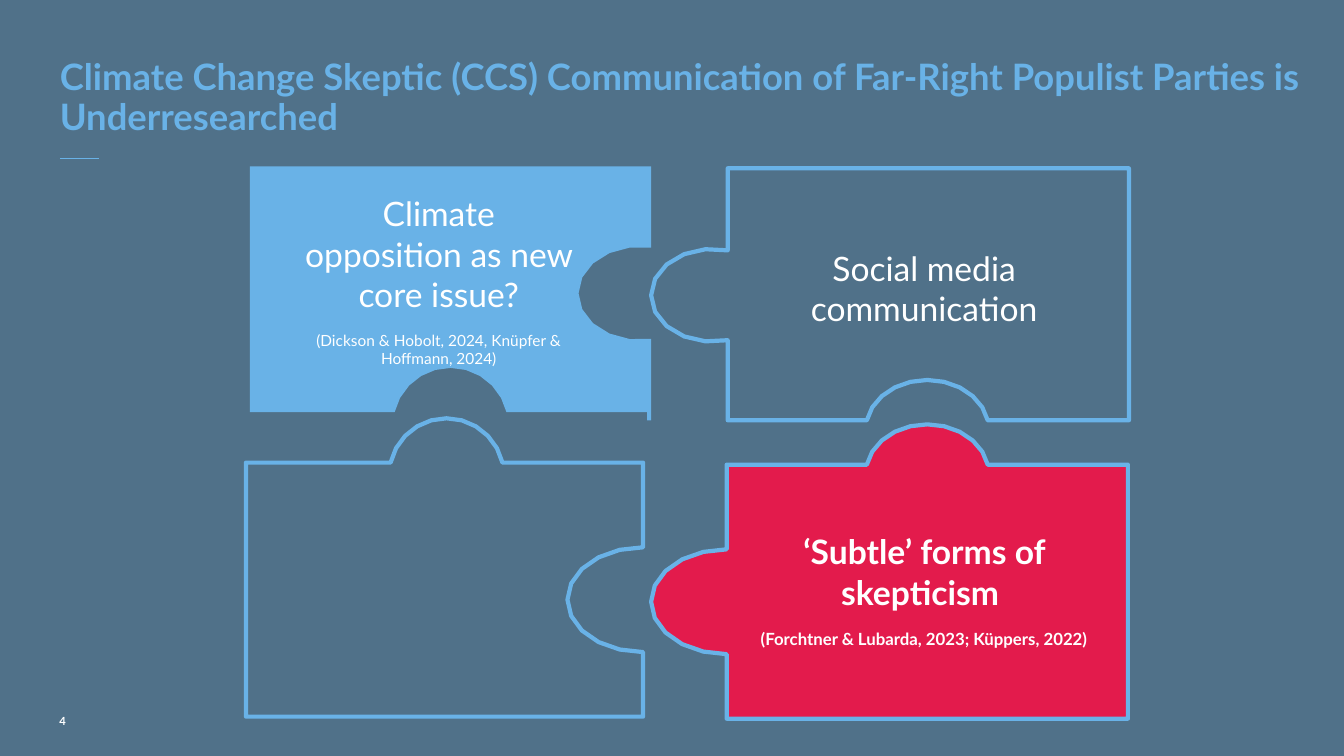
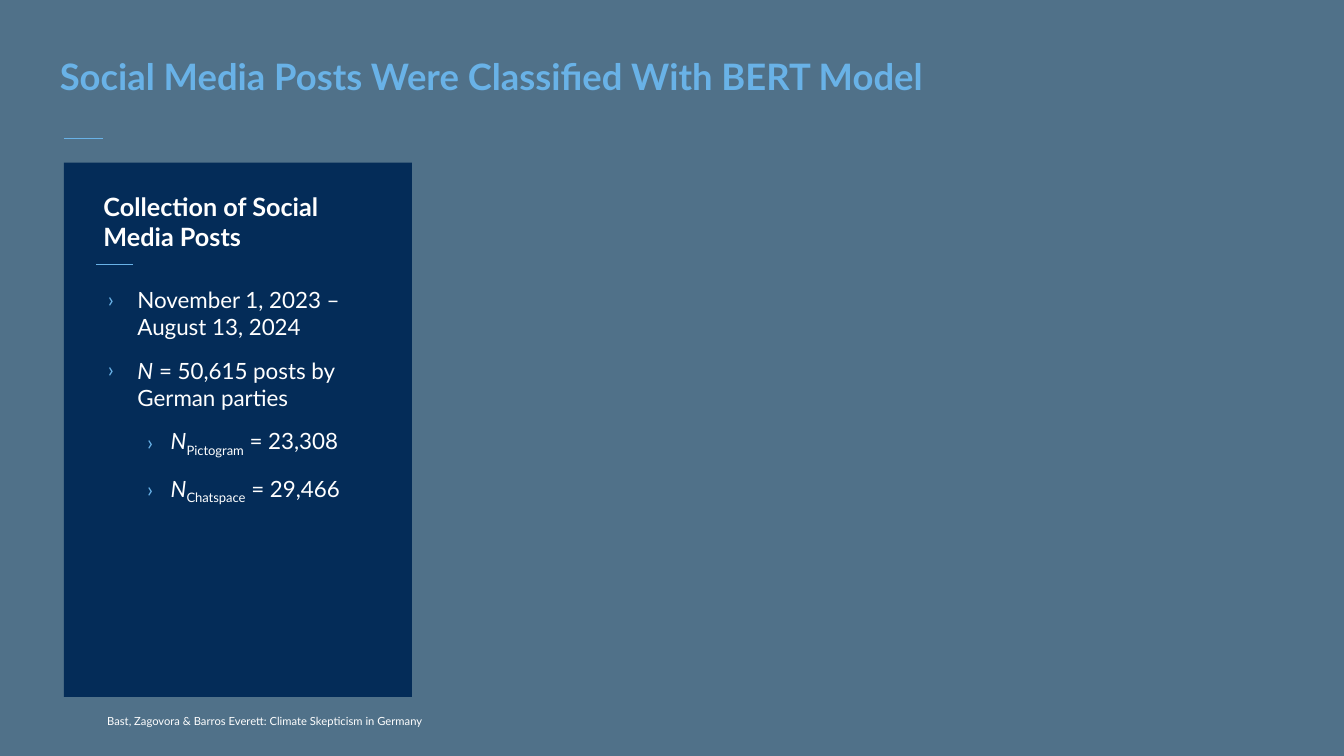
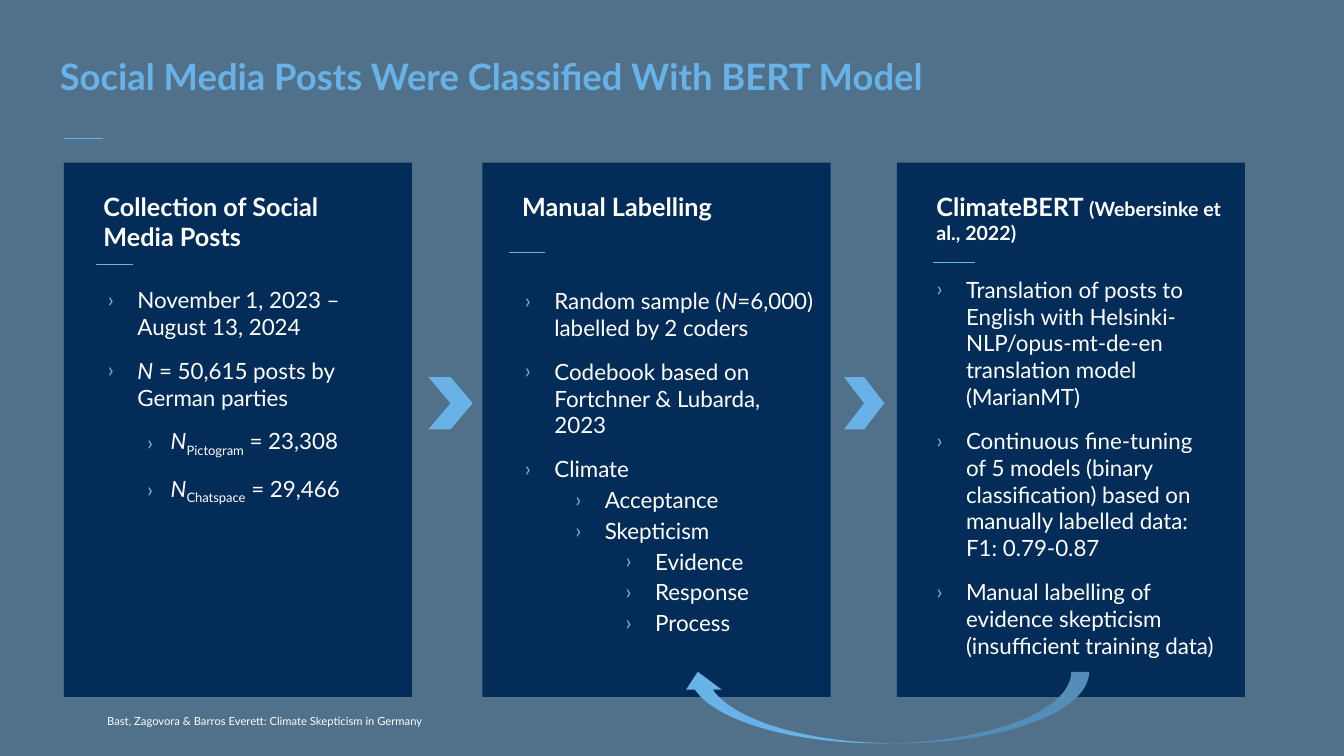
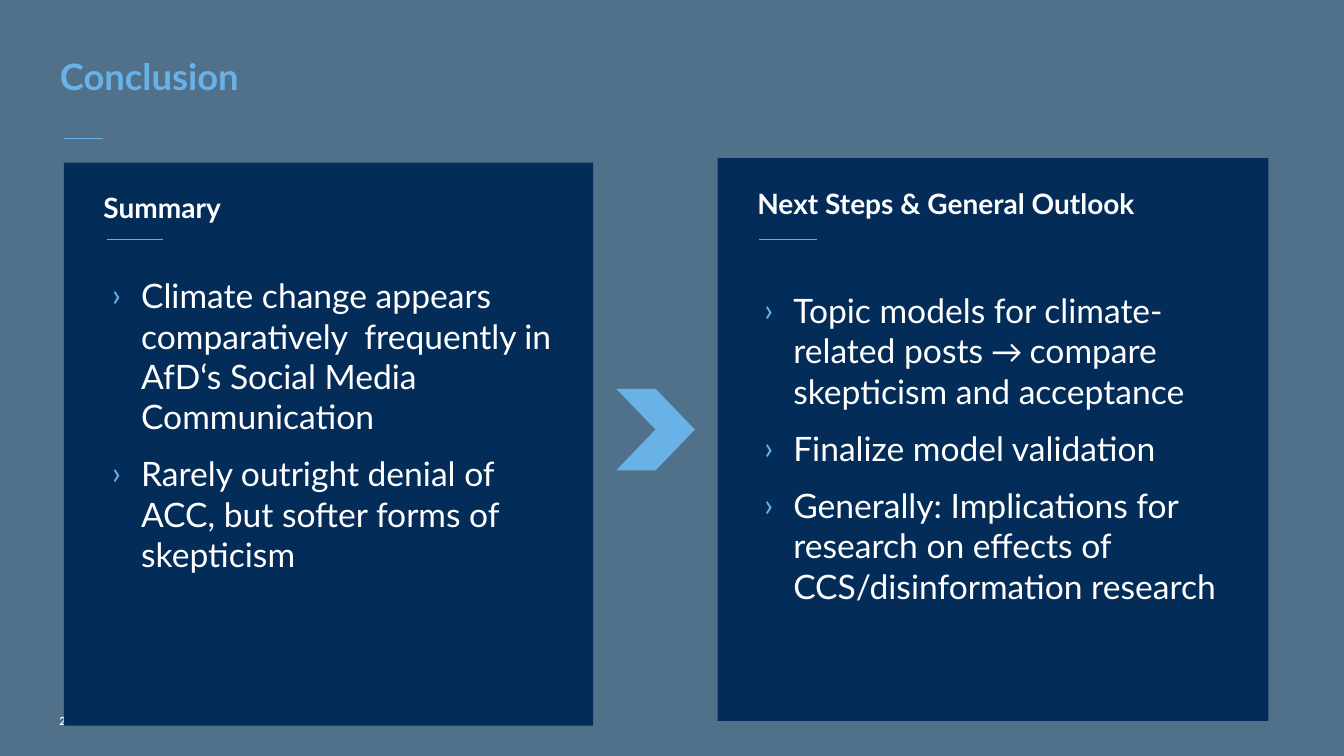
from dataclasses import dataclass
from math import cos, radians, sin

from lxml.etree import SubElement
from pptx import Presentation
from pptx.dml.color import RGBColor
from pptx.enum.shapes import MSO_CONNECTOR as Connector
from pptx.enum.shapes import MSO_SHAPE as Preset
from pptx.enum.text import MSO_ANCHOR as Anchor
from pptx.enum.text import MSO_AUTO_SIZE as AutoSize
from pptx.enum.text import PP_ALIGN as Align
from pptx.oxml.ns import qn
from pptx.util import Inches, Pt

COLUMNS = 40
SLATE, SKY, NAVY, RED, WHITE = "507189", "69B2E7", "042C58", "E31B4C", "FFFFFF"
ONE_LIST, TWO_LISTS, FOUR_LISTS, TITLE_ONLY = 1, 3, 4, 5


@dataclass
class Item:
    spans: list
    level: int = 0
    indent: float = 0.9
    hang: float = 0.9
    spacing: object = None


def color_of(code):
    return RGBColor.from_string(code)


def write(paragraph, text, size=16, color=WHITE, bold=False, italic=False, font="Lato", baseline=0):
    for number, part in enumerate(text.split("\n")):
        if number:
            paragraph.add_line_break()
        span = paragraph.add_run()
        span.text = part
        span.font.name = font
        span.font.size = Pt(size)
        span.font.bold = bold
        span.font.italic = italic
        span.font.color.rgb = color_of(color)
        if baseline:
            span.font._element.set("baseline", str(baseline * 1000))


def arc(x, y, across, down, start, end, steps=10):
    angles = [radians(start + (end - start) * step / steps) for step in range(steps + 1)]
    return [(x + across * cos(angle), y + down * sin(angle)) for angle in angles]


class SlideMaker:
    def __init__(self):
        self.deck = Presentation()
        self.deck.slide_width, self.deck.slide_height = Inches(40 / 3), Inches(7.5)
        self.cell = self.deck.slide_width / COLUMNS
        background = self.deck.slide_master.background.fill
        background.solid()
        background.fore_color.rgb = color_of(SLATE)

    def grid(self, *cells):
        return [round(cell * self.cell) for cell in cells]

    def frame(self, box, insets=(0, 0, 0, 0)):
        frame = box.text_frame
        frame.word_wrap = True
        frame.auto_size = AutoSize.NONE
        frame.vertical_anchor = Anchor.TOP
        (frame.margin_left, frame.margin_top,
         frame.margin_right, frame.margin_bottom) = self.grid(*insets)
        return frame

    def place(self, box, area):
        box.left, box.top, box.width, box.height = self.grid(*area)

    def paragraphs(self, frame, count, align=Align.LEFT):
        for number in range(count):
            para = frame.add_paragraph() if number else frame.paragraphs[0]
            para.alignment = align
            para.space_before = Pt(6 if number else 0)
            para.space_after = Pt(6)
            yield para

    def start(self, title, layout, rule=(1.9, 4.11), height=1.2):
        self.slide = self.deck.slides.add_slide(self.deck.slide_layouts[layout])
        self.shapes = self.slide.shapes
        self.bodies = [box for box in self.slide.placeholders if box.placeholder_format.idx]
        self.place(self.shapes.title, (1.78, 1.77, 37.05, height))
        para = self.frame(self.shapes.title).paragraphs[0]
        para.alignment = Align.LEFT
        para.line_spacing = 0.9
        write(para, title, size=26, color=SKY, bold=True)
        self.rule(*rule, 1.17)

    def finish(self):
        for body in self.bodies:
            body.element.getparent().remove(body.element)

    def small_print(self, text, left=1.77, width=1.17, bold=False):
        box = self.shapes.add_textbox(*self.grid(left, 21.27, width, 0.72))
        write(self.frame(box).paragraphs[0], text, size=8, bold=bold)

    def credit(self):
        self.small_print("Bast, Zagovora & Barros Everett: Climate Skepticism in Germany", 3.19, 29.4)

    def rule(self, left, top, length):
        line = self.shapes.add_connector(Connector.STRAIGHT, *self.grid(left, top, left + length, top))
        line.line.color.rgb = color_of(SKY)
        line.line.width = Pt(0.5)
        SubElement(line.element.spPr, qn("a:effectLst"))

    def paint(self, shape, fill=None, line=None):
        shape.shadow.inherit = False
        if fill:
            shape.fill.solid()
            shape.fill.fore_color.rgb = color_of(fill)
        else:
            shape.fill.background()
        if line:
            shape.line.color.rgb = color_of(line)
            shape.line.width = Pt(3)
        else:
            shape.line.fill.background()

    def preset(self, kind, area, fill=SKY, turn=0):
        shape = self.shapes.add_shape(kind, *self.grid(*area))
        shape.rotation = turn
        self.paint(shape, fill)
        return shape

    def piece(self, points, fill=None, line=None):
        corners = [self.grid(*point) for point in points]
        outline = self.shapes.build_freeform(*corners[0], scale=1.0)
        outline.add_line_segments(corners[1:], close=True)
        self.paint(outline.convert_to_shape(), fill, line)

    def caption(self, area, lines, bold=False, insets=(0.3, 0.15, 0.3, 0.15)):
        frame = self.frame(self.shapes.add_textbox(*self.grid(*area)), insets)
        for para, (text, size) in zip(self.paragraphs(frame, len(lines), Align.CENTER), lines):
            write(para, text, size=size, bold=bold)

    def panel(self, area, heading, rule, list_area, items, size=16):
        box = self.preset(Preset.RECTANGLE, area, NAVY)
        para = next(self.paragraphs(self.frame(box, (1.18, 0.84, 0.6, 0.6)), 1))
        for text, heading_size in heading:
            write(para, text, size=heading_size, bold=True)
        self.bullets(list_area, items, size)
        self.rule(*rule)

    def bullets(self, area, items, size):
        body = self.bodies.pop(0)
        self.shapes.element.append(body.element)
        self.place(body, area)
        frame = self.frame(body, (1.05, 0, 0.48, 0))
        for para, item in zip(self.paragraphs(frame, len(items)), items):
            para.level = item.level
            if item.spacing:
                para.line_spacing = item.spacing
            indent, hang = self.grid(item.indent, item.hang)
            settings = para._p.get_or_add_pPr()
            settings.set("marL", str(indent))
            settings.set("indent", str(-hang))
            SubElement(SubElement(settings, qn("a:buClr")), qn("a:srgbClr")).set("val", SKY)
            SubElement(settings, qn("a:buFont")).set("typeface", "Calibri")
            SubElement(settings, qn("a:buChar")).set("char", "›")
            for text, style in item.spans:
                write(para, text, **{"size": size, **style})


def plain(text, **layout):
    return Item([(text, {})], **layout)


def platform_count(name, count):
    spans = [("N", {"italic": True}), (name, {"baseline": -25}), (f" = {count}", {})]
    return Item(spans, level=1, indent=1.89, hang=0.72)


def code(text, level):
    return plain(text, level=level, indent=0.9 + 1.5 * level, spacing=Pt(10))


def puzzle_slide(maker):
    maker.start("Climate Change Skeptic (CCS) Communication of Far-Right Populist Parties is Underresearched",
                TITLE_ONLY, rule=(1.78, 4.71), height=2.37)
    maker.small_print("4", bold=True)
    maker.piece([(7.44, 4.95), (19.38, 4.95), *arc(19.05, 8.73, 1.83, 1.38, 280.39, 79.61),
                 (19.38, 12.51), (19.26, 12.51), (19.26, 12.27),
                 *arc(13.41, 12.66, 1.71, 1.71, 346.82, 193.18), (7.44, 12.27)], fill=SKY)
    maker.piece([(21.63, 13.83), *arc(27.6, 14.1, 1.83, 1.47, 190.58, 349.42), (33.57, 13.83),
                 (33.57, 21.39), (21.63, 21.39),
                 *arc(21.63, 17.91, 2.25, 1.56, 90, 270)], fill=RED, line=SKY)
    maker.piece([(7.32, 13.77), *arc(13.29, 14.16, 1.71, 1.71, 193.18, 346.82), (19.14, 13.77),
                 *arc(19.14, 17.85, 2.25, 1.56, 270, 90), (19.14, 21.33), (7.32, 21.33)], line=SKY)
    maker.piece([(21.66, 5.01), (33.6, 5.01), (33.6, 12.51),
                 *arc(27.6, 12.78, 1.83, 1.47, 349.42, 190.58), (21.66, 12.51),
                 *arc(21.21, 8.79, 1.83, 1.38, 75.77, 284.23)], line=SKY)
    maker.caption((21.61, 7.23, 11.79, 2.73), [("Social media\ncommunication", 24)])
    maker.caption((21.82, 15.66, 11.37, 3.84),
                  [("‘Subtle’ forms of skepticism ", 24),
                   ("(Forchtner & Lubarda, 2023; Küppers, 2022)", 12)], bold=True)
    maker.caption((8, 5.75, 9.55, 4.98),
                  [("Climate opposition as new core issue?", 24),
                   ("(Dickson & Hobolt, 2024, Knüpfer & Hoffmann, 2024)", 11)],
                  insets=(1.05, 0, 0.48, 0))
    maker.finish()


def collection_panel(maker):
    maker.panel((1.9, 4.84, 10.36, 15.9), [("Collection of Social Media Posts", 18)],
                (2.86, 7.86, 1.11), (2.14, 8.52, 9.81, 9.33), [
        plain("November 1, 2023 – August 13, 2024"),
        Item([("N", {"italic": True}), (" = 50,615 posts by German parties", {})]),
        platform_count("Pictogram", "23,308"),
        platform_count("Chatspace", "29,466")])


def method_slide(maker, complete):
    maker.start("Social Media Posts Were Classified With BERT Model", FOUR_LISTS if complete else ONE_LIST)
    collection_panel(maker)
    maker.credit()
    if complete:
        later_steps(maker)
    maker.finish()


def later_steps(maker):
    for left, width in ((12.75, 1.32), (25.12, 1.2)):
        maker.preset(Preset.CHEVRON, (left, 11.22, width, 1.56))
    maker.panel((14.36, 4.84, 10.36, 15.9), [("Manual Labelling", 18)],
                (15.15, 7.52, 1.08), (14.55, 8.55, 10.17, 9.33), [
        Item([("Random sample (", {}), ("N", {"italic": True}), ("=6,000) labelled by 2 coders", {})]),
        plain("Codebook based on Fortchner & Lubarda, 2023"),
        plain("Climate"),
        *[code(text, 1) for text in ("Acceptance", "Skepticism")],
        *[code(text, 2) for text in ("Evidence", "Response", "Process")]])
    maker.panel((26.69, 4.84, 10.36, 15.9), [("ClimateBERT ", 18), ("(Webersinke et al., 2022)", 14)],
                (27.78, 7.8, 1.23), (26.8, 8.21, 9.9, 11.16), [
        plain("Translation of posts to English with Helsinki-NLP/opus-mt-de-en translation model (MarianMT)"),
        plain("Continuous fine-tuning of 5 models (binary classification) based on "
              "manually labelled data: \nF1: 0.79-0.87"),
        plain("Manual labelling of evidence skepticism (insufficient training data)")])
    maker.preset(Preset.CURVED_LEFT_ARROW, (25.26, 14.97, 2.13, 12.18), turn=90)


def conclusion_slide(maker):
    maker.start("Conclusion", TWO_LISTS)
    maker.small_print("26", bold=True)
    maker.preset(Preset.CHEVRON, (18.34, 11.57, 2.34, 2.43))
    maker.panel((21.36, 4.71, 16.39, 16.75), [("Next Steps & General Outlook", 20)],
                (22.59, 7.11, 1.74), (21.66, 8.63, 16.08, 9.84), [
        Item([("Topic models for climate-related posts ", {}), ("→ ", {"font": "Calibri"}),
              ("compare skepticism and acceptance", {})]),
        plain("Finalize model validation"),
        plain("Generally: Implications for research on effects of CCS/disinformation research")], size=24)
    maker.panel((1.9, 4.84, 15.75, 16.76), [("Summary", 20)],
                (3.18, 7.13, 1.68), (2.25, 8.19, 14.91, 12.84), [
        plain("Climate change appears comparatively  frequently in AfD‘s Social Media Communication"),
        plain("Rarely outright denial of ACC, but softer forms of skepticism")], size=24)
    maker.finish()


def main():
    maker = SlideMaker()
    puzzle_slide(maker)
    method_slide(maker, complete=False)
    method_slide(maker, complete=True)
    conclusion_slide(maker)
    maker.deck.save("out.pptx")


if __name__ == "__main__":
    main()
